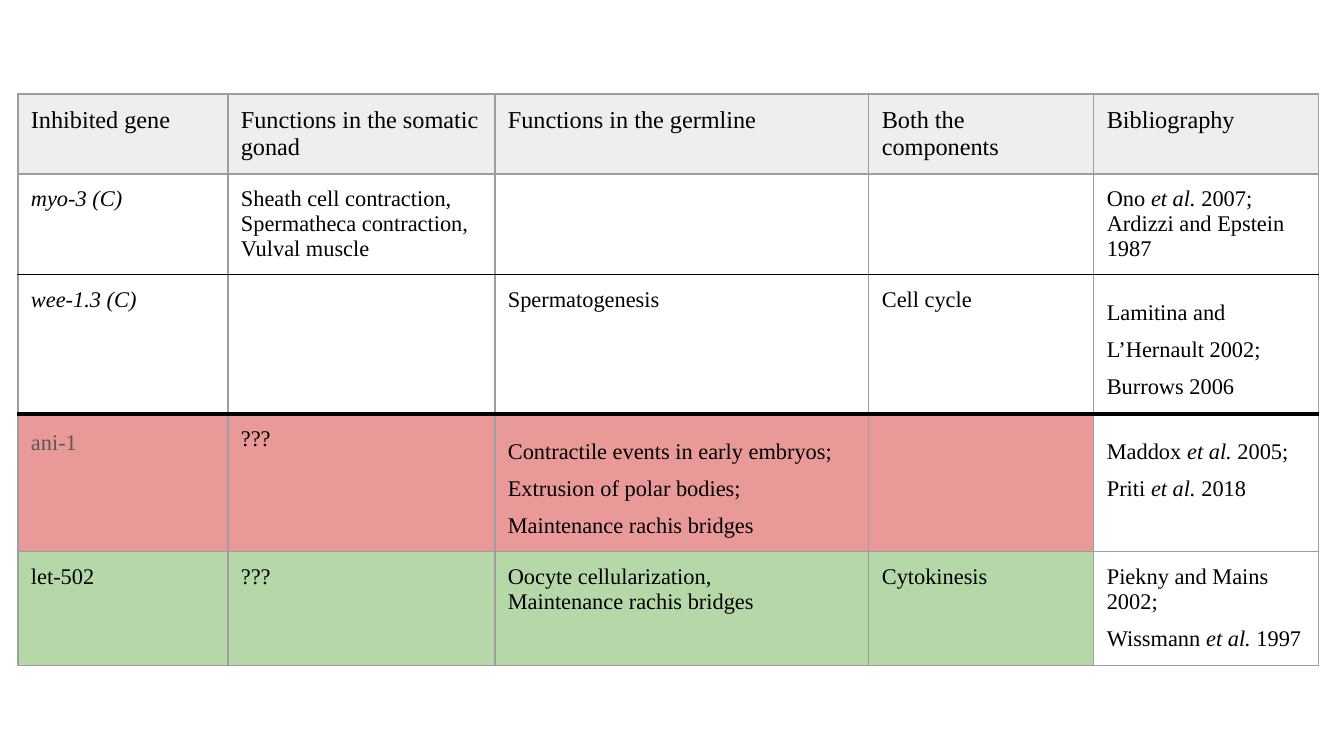
from lxml.etree import SubElement as Sub
from pptx import Presentation as Deck
from pptx.dml.color import RGBColor as RGB
from pptx.enum.text import PP_ALIGN as Align
from pptx.oxml.ns import qn
from pptx.util import Pt

PX = 914400 / 134.4  # EMU in one px
FONT = "Times New Roman"
BLACK, GRAY = RGB(0, 0, 0), RGB(0x59, 0x59, 0x59)
LINE, HEAD = RGB(0x9E, 0x9E, 0x9E), RGB(0xEE, 0xEE, 0xEE)
WHITE = RGB(0xFF, 0xFF, 0xFF)
RED, GREEN = RGB(0xEA, 0x99, 0x99), RGB(0xB6, 0xD7, 0xA8)

# Paragraph formats
WIDE = {"line_spacing": 1.5}
JUST = {**WIDE, "alignment": Align.JUSTIFY}
LOOSE = {"line_spacing": 1.15, "space_after": Pt(12)}

# Table grid in px
COLS = [210, 267, 374, 225, 225]
ROWS = [80, 101, 139, 138, 114]

# Rules above and below each row: colour and points
THIN, DARK, THICK = (LINE, 0.75), (BLACK, 0.75), (BLACK, 2.25)
RULES = [THIN, THIN, DARK, THICK, THIN, THIN]

# Fill of the gene columns, row by row
FILLS = [HEAD, None, None, RED, GREEN]

# Each cell lists its paragraphs: text, or text with a format.
# Asterisks enclose italics.
GENES = [
    [["Inhibited gene"], ["Functions in the somatic gonad"],
     ["Functions in the germline"], ["Both the components"],
     ["Bibliography"]],
    [["*myo-3 (C)*"],
     ["Sheath cell contraction,", "Spermatheca contraction,",
      "Vulval muscle"],
     [], [],
     ["Ono *et al. *2007;", "Ardizzi and Epstein 1987"]],
    [["*wee-1.3 (C)*"], [], ["Spermatogenesis"], ["Cell cycle"],
     [("Lamitina and L’Hernault 2002;", WIDE), ("Burrows 2006", WIDE)]],
    [[("ani-1", LOOSE)], ["???"],
     [("Contractile events in early embryos;", WIDE),
      ("Extrusion of polar bodies; Maintenance rachis bridges", WIDE)],
     [],
     [("Maddox *et al.* 2005;", JUST), ("Priti *et al.* 2018", JUST)]],
    [["let-502"], ["???"],
     ["Oocyte cellularization,", "Maintenance rachis bridges"],
     ["Cytokinesis"],
     ["Piekny and Mains 2002;", ("Wissmann *et al.* 1997", JUST)]],
]


def emu(px):
    return round(px * PX)


class Page:
    def __init__(self, deck):
        self.slide = deck.slides.add_slide(deck.slide_layouts[6])
        self.pad = emu(13)

    def grid(self, x, y, cols, rows):
        size = map(emu, (x, y, sum(cols), sum(rows)))
        table = self.slide.shapes.add_table(len(rows), len(cols), *size).table
        table.first_row = table.horz_banding = False
        for col, width in zip(table.columns, cols):
            col.width = emu(width)
        for row, height in zip(table.rows, rows):
            row.height = emu(height)
        return table

    def cell(self, cell, paras, size, color, fill, top, base):
        for side in ("left", "top", "right", "bottom"):
            setattr(cell, f"margin_{side}", self.pad)
        self.edges(cell, {"L": THIN, "R": THIN, "T": top, "B": base})
        if fill is None:
            cell.fill.background()
        else:
            cell.fill.solid()
            cell.fill.fore_color.rgb = fill
        frame = cell.text_frame
        for i, item in enumerate(paras):
            text, form = (item, {}) if isinstance(item, str) else item
            para = frame.add_paragraph() if i else frame.paragraphs[0]
            for key, value in form.items():
                setattr(para, key, value)
            self.runs(para, text, size, color)

    def runs(self, para, text, size, color):
        for i, part in enumerate(text.split("*")):
            if not part:
                continue
            run = para.add_run()
            run.text = part
            style = {"name": FONT, "size": Pt(size), "italic": i % 2 == 1}
            for key, value in style.items():
                setattr(run.font, key, value)
            run.font.color.rgb = color

    def edges(self, cell, sides):
        props = cell._tc.get_or_add_tcPr()
        for side, (color, width) in sides.items():
            line = Sub(props, qn(f"a:ln{side}"), w=str(Pt(width)))
            fill = Sub(line, qn("a:solidFill"))
            Sub(fill, qn("a:srgbClr"), val=str(color))


def main():
    deck = Deck()
    deck.slide_width, deck.slide_height = emu(1344), emu(756)
    page = Page(deck)

    # Gene table
    table = page.grid(18, 94, COLS, ROWS)
    for r, row in enumerate(GENES):
        for c, paras in enumerate(row):
            # The bibliography stays white below the header
            fill = WHITE if r and c == len(COLS) - 1 else FILLS[r]
            color = GRAY if (r, c) == (3, 0) else BLACK
            page.cell(table.cell(r, c), paras, 12 if r else 13, color,
                      fill, RULES[r], RULES[r + 1])

    deck.save("out.pptx")


if __name__ == "__main__":
    main()
